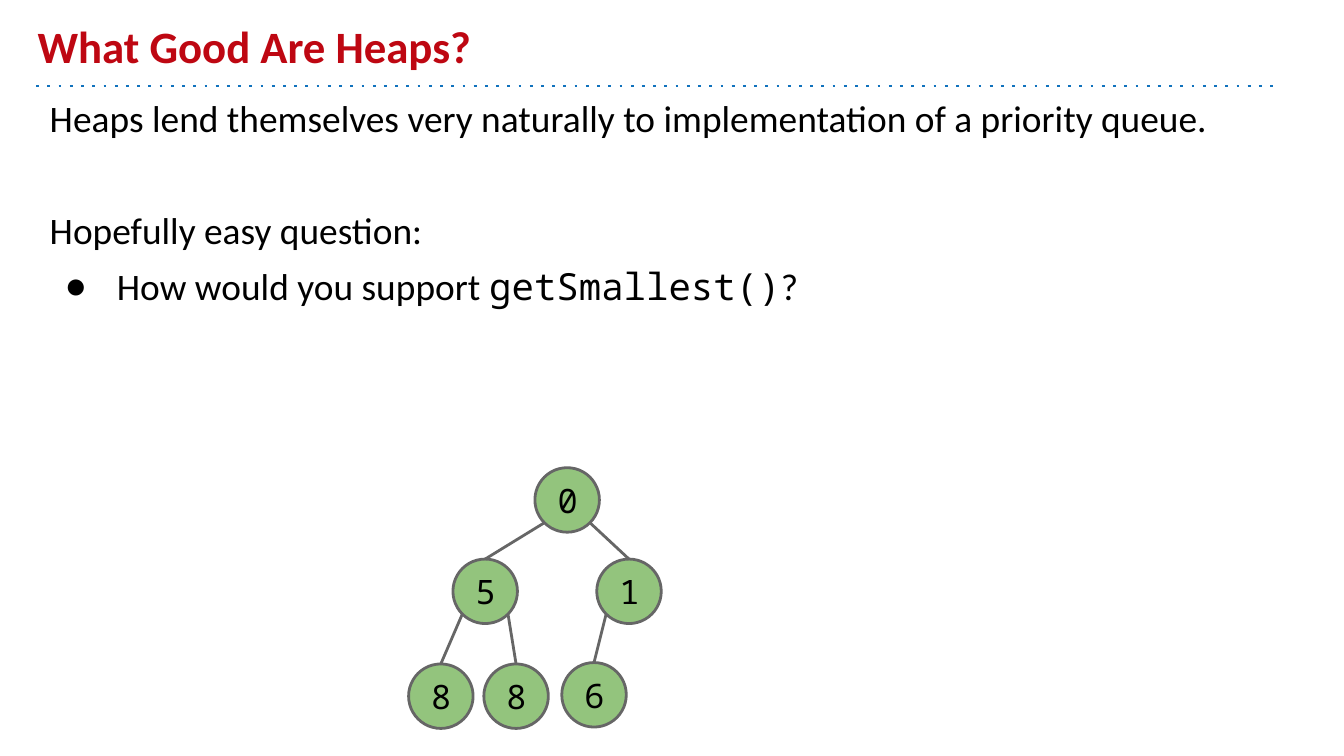
from lxml import etree
from pptx import Presentation
from pptx import util as u
from pptx.dml import color
from pptx.enum import shapes, text
from pptx.oxml import ns

RED = color.RGBColor(0xBE, 0x07, 0x12)
BLUE = color.RGBColor(0x10, 0x72, 0xBD)
BLACK = color.RGBColor(0, 0, 0)
GREEN = color.RGBColor(0x93, 0xC4, 0x7D)
GRAY = color.RGBColor(0x66, 0x66, 0x66)
SANS, MONO = "Calibri", "Noto Sans Mono"

INSETS = dict.fromkeys(
    ("margin_left", "margin_top", "margin_right", "margin_bottom"), u.Inches(0.1))
DIAMETER = 0.48
DIAGONAL = 0.17


def apply(target, **values):
    for name, value in values.items():
        setattr(target, name, value)


def place(target, box):
    names = ("left", "top", "width", "height")
    apply(target, **{name: u.Inches(v) for name, v in zip(names, box)})


def add_words(paragraph, words, size, font=SANS, ink=BLACK, bold=False):
    run = paragraph.add_run()
    run.text = words
    apply(run.font, size=u.Pt(size), name=font, bold=bold)
    run.font.color.rgb = ink


def add_line(canvas, start, end, ink):
    points = [u.Inches(v) for v in (*start, *end)]
    line = canvas.add_connector(shapes.MSO_CONNECTOR.STRAIGHT, *points)
    line.line.color.rgb = ink
    line.line.width = u.Pt(1.5)
    etree.SubElement(line._element.spPr, ns.qn("a:effectLst"))
    return line


def set_bullet(paragraph, mark=None, margin=0, indent=0):
    props = paragraph._p.get_or_add_pPr()
    props.set("marL", str(u.Inches(margin)))
    props.set("indent", str(u.Inches(indent)))
    if mark is None:
        etree.SubElement(props, ns.qn("a:buNone"))
        return
    tint = etree.SubElement(props, ns.qn("a:buClr"))
    etree.SubElement(tint, ns.qn("a:srgbClr"), val=str(BLACK))
    etree.SubElement(props, ns.qn("a:buChar"), char=mark)


def build_heading(slide, box):
    left, top, width, height = box
    heading = slide.shapes.title
    place(heading, box)
    apply(heading.text_frame, **INSETS, word_wrap=True,
          auto_size=text.MSO_AUTO_SIZE.NONE,
          vertical_anchor=text.MSO_ANCHOR.BOTTOM)
    paragraph = heading.text_frame.paragraphs[0]
    paragraph.alignment = text.PP_ALIGN.LEFT
    add_words(paragraph, "What Good Are Heaps?", 24, ink=RED, bold=True)

    base = top + height
    rule = add_line(slide.shapes, (left + 0.09, base), (left + width + 0.32, base), BLUE)
    stroke = rule._element.spPr.get_or_add_ln()
    etree.SubElement(stroke, ns.qn("a:prstDash"), val="dot")


def build_discussion(slide, box):
    discussion = slide.placeholders[1]
    place(discussion, box)
    frame = discussion.text_frame
    apply(frame, **INSETS, word_wrap=True, auto_size=text.MSO_AUTO_SIZE.NONE,
          vertical_anchor=text.MSO_ANCHOR.TOP)
    bullet = {"mark": "●", "margin": 0.5, "indent": -0.39}
    statements = [
        (6, {}, [("Heaps lend themselves very naturally to implementation"
                  " of a priority queue.", SANS)]),
        (36, {}, [("Hopefully easy question:", SANS)]),
        (6, bullet, [("How would you support ", SANS),
                     ("getSmallest()", MONO), ("?", SANS)]),
    ]
    for index, (gap, marker, pieces) in enumerate(statements):
        paragraph = frame.add_paragraph() if index else frame.paragraphs[0]
        paragraph.space_before = u.Pt(gap)
        set_bullet(paragraph, **marker)
        for words, font in pieces:
            add_words(paragraph, words, 20, font)


def add_node(canvas, left, top, key):
    node = canvas.add_shape(shapes.MSO_SHAPE.OVAL,
                            *(u.Inches(v) for v in (left, top, DIAMETER, DIAMETER)))
    node.shadow.inherit = False
    node.fill.solid()
    node.fill.fore_color.rgb = GREEN
    node.line.color.rgb = GRAY
    node.line.width = u.Pt(1.5)
    apply(node.text_frame, **INSETS, vertical_anchor=text.MSO_ANCHOR.MIDDLE)
    paragraph = node.text_frame.paragraphs[0]
    paragraph.alignment = text.PP_ALIGN.CENTER
    add_words(paragraph, key, 18, MONO)
    return node


def build_heap(slide, left, top):
    heap = slide.shapes.add_group_shape().shapes
    keys = [("0", 0.94, 0), ("5", 0.33, 0.68), ("1", 1.4, 0.68),
            ("8", 0, 1.46), ("8", 0.56, 1.46), ("6", 1.14, 1.45)]
    nodes = [add_node(heap, left + x, top + y, key) for key, x, y in keys]
    radius = DIAMETER / 2
    for child in range(1, len(keys)):
        _, parent_x, parent_y = keys[(child - 1) // 2]
        _, child_x, child_y = keys[child]
        side = -1 if child % 2 else 1
        start = (left + parent_x + radius + side * DIAGONAL,
                 top + parent_y + radius + DIAGONAL)
        end = (left + child_x + radius, top + child_y)
        edge = add_line(heap, start, end, GRAY)
        edge.end_connect(nodes[child], 0)


def main():
    deck = Presentation()
    width = u.Inches(10)
    apply(deck, slide_width=width, slide_height=width * 9 // 16)
    slide = deck.slides.add_slide(deck.slide_layouts[1])
    build_heading(slide, (0.18, 0.1, 9, 0.54))
    build_discussion(slide, (0.27, 0.61, 9.62, 1.93))
    build_heap(slide, 3.04, 3.48)
    deck.save("out.pptx")


if __name__ == "__main__":
    main()
